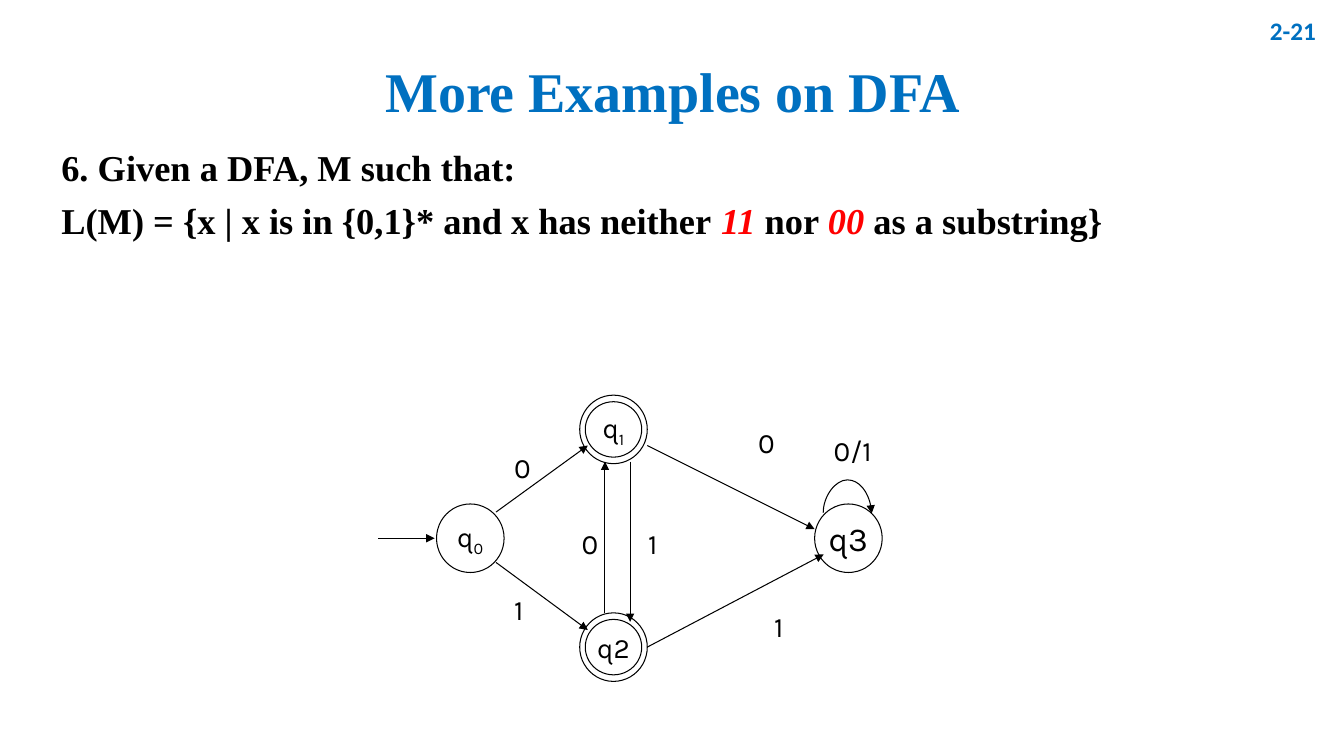
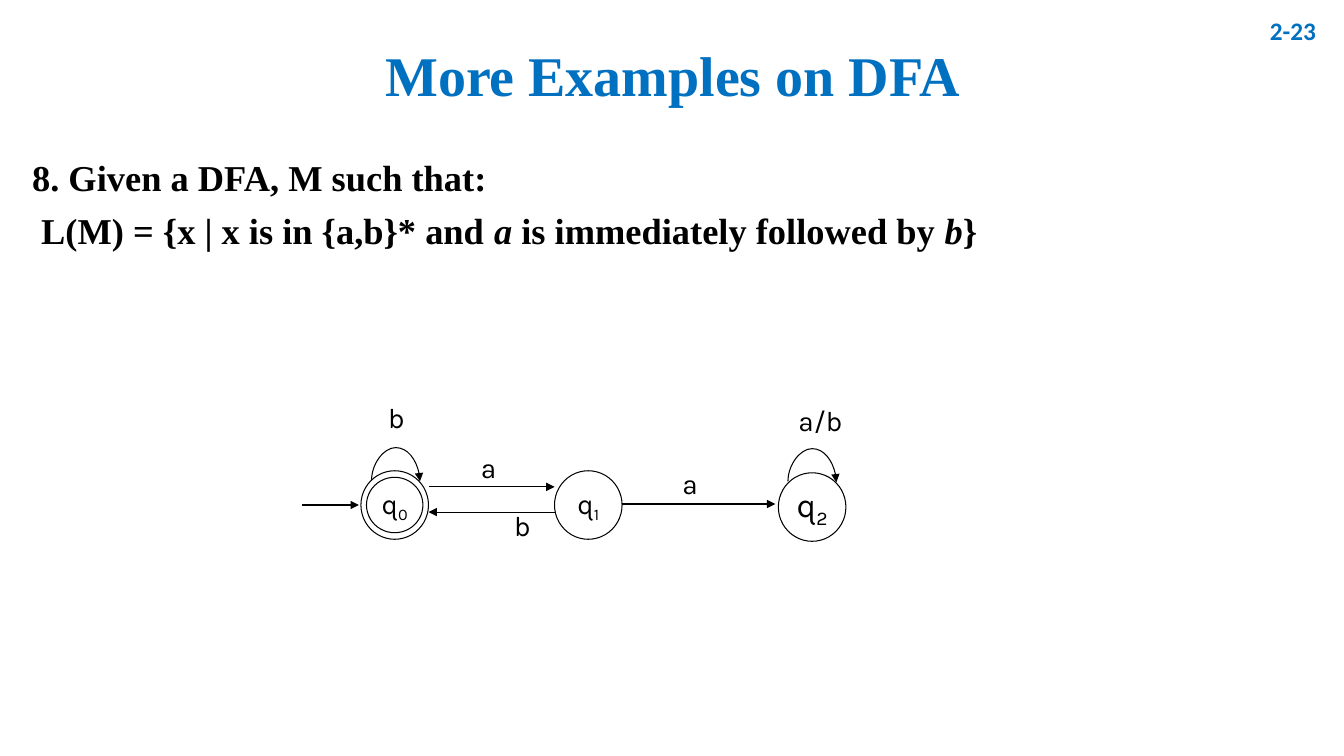
from lxml import etree
from pptx import Presentation
from pptx.dml.color import RGBColor
from pptx.enum import shapes, text
from pptx.oxml import ns
from pptx.util import Inches, Pt

BLUE, BLACK, RED = "0070C0", "000000", "FF0000"
SERIF, SANS, PLAIN = "Times New Roman", "Karla", "Calibri"
WIDE, HIGH = 0.67, 0.68  # state circle
RING = (0.56, 0.55)  # inner circle of an accepting state
SPAN, RISE = 0.48, 0.33  # self-loop

# body: (first-line indent, [(text, colour, italic)])
# states: left, top, name, subscript, size, accepting
# arrows: x1, y1, x2, y2; loops: centre x, foot y; labels: left, top, text
pages = [
    dict(
        num="2-21", title=1.25, box=(0.51, 1.44, 12.2, 1.57),
        body=[
            (-0.25, [("6. Given a DFA, M such that:", BLACK, False)]),
            (-0.25, [
                ("L(M) = {x | x is in {0,1}* and x has neither ", BLACK, False),
                ("11 ", RED, True), ("nor ", BLACK, False),
                ("00 ", RED, True), ("as a substring}", BLACK, False)]),
        ],
        states=[
            (4.33, 5, "q", "0", 20, False),
            (5.75, 3.92, "q", "1", 20, True),
            (5.75, 6.08, "q2", "", 20, True),
            (8.08, 5, "q3", "", 24, False),
        ],
        arrows=[
            (3.75, 5.34, 4.31, 5.34),
            (4.92, 5.08, 5.83, 4.42), (4.92, 5.58, 5.83, 6.25),
            (6, 6.08, 6, 4.58), (6.25, 4.58, 6.25, 6.17),
            (6.42, 4.42, 8.08, 5.25), (6.42, 6.42, 8.17, 5.5),
        ],
        loops=[(8.4, 5.09)],
        labels=[
            (5, 4.42, "0"), (5, 5.83, "1"), (5.67, 5.17, "0"), (6.33, 5.17, "1"),
            (7.42, 4.17, "0"), (7.58, 6, "1"), (8.17, 4.25, "0/1"),
        ],
    ),
    dict(
        num="2-23", title=0.93, box=(0.22, 1.54, 12.66, 1.58),
        body=[
            (-0.25, [("8. Given a DFA, M such that:", BLACK, False)]),
            (-0.16, [
                ("L(M) = {x | x is in {a,b}* and ", BLACK, False),
                ("a ", BLACK, True),
                ("is immediately followed by ", BLACK, False),
                ("b", BLACK, True), ("}", BLACK, False)]),
        ],
        states=[
            (3.58, 4.67, "q", "0", 20, True),
            (5.5, 4.67, "q", "1", 20, False),
            (7.72, 4.69, "q", "2", 24, False),
        ],
        arrows=[
            (3, 5.01, 3.56, 5.01), (4.25, 4.83, 5.5, 4.83),
            (5.5, 5.08, 4.25, 5.08), (6.17, 5, 7.69, 5),
        ],
        loops=[(3.92, 4.77), (8.05, 4.78)],
        labels=[
            (3.75, 3.92, "b"), (4.67, 4.42, "a"), (5, 5, "b"),
            (6.67, 4.58, "a"), (7.82, 3.95, "a/b"),
        ],
    ),
]


def write(para, words, face, size, color=BLACK, bold=False, align=None):
    """Add one run and style the whole paragraph."""
    para.add_run().text = words
    para.alignment = align
    font = para.font
    font.name, font.size, font.bold = face, Pt(size), bold
    font.color.rgb = RGBColor.from_string(color)


def arrow(slide, kind, *ends):
    link = slide.shapes.add_connector(kind, *map(Inches, ends))
    link.line.color.rgb = RGBColor.from_string(BLACK)
    link.line.width = Pt(0.75)
    etree.SubElement(link.line._get_or_add_ln(), ns.qn("a:tailEnd"), type="triangle")
    etree.SubElement(link._element.spPr, ns.qn("a:effectLst"))
    return link


deck = Presentation()
deck.slide_width, deck.slide_height = Inches(13.33), Inches(7.5)
mid, right = text.PP_ALIGN.CENTER, text.PP_ALIGN.RIGHT

for page in pages:
    slide = deck.slides.add_slide(deck.slide_layouts[6])
    heads = [
        ((12.26, 0, 0.89, 0.6), page["num"], PLAIN, 18, right, 1),
        ((1.57, 0.31, 10.2, page["title"]), "More Examples on DFA", SERIF, 40, mid, 0.9),
    ]
    for area, words, face, size, align, gap in heads:
        frame = slide.shapes.add_textbox(*map(Inches, area)).text_frame
        frame.word_wrap = True
        frame.vertical_anchor = text.MSO_ANCHOR.MIDDLE
        write(frame.paragraphs[0], words, face, size, BLUE, True, align)
        frame.paragraphs[0].line_spacing = gap

    frame = slide.shapes.add_textbox(*map(Inches, page["box"])).text_frame
    frame.word_wrap = True
    for i, (indent, runs) in enumerate(page["body"]):
        para = frame.add_paragraph() if i else frame.paragraphs[0]
        props = para._p.get_or_add_pPr()
        props.set("marL", str(Inches(0.25)))
        props.set("indent", str(Inches(indent)))
        para.alignment = text.PP_ALIGN.JUSTIFY
        para.line_spacing = 0.9
        if i:
            para.space_before = Pt(10)
        font = para.font
        font.name, font.size, font.bold = SERIF, Pt(26), True
        for words, color, slant in runs:
            run = para.add_run()
            run.text = words
            run.font.color.rgb = RGBColor.from_string(color)
            run.font.italic = slant

    for x, y, name, sub, size, final in page["states"]:
        rings = [(WIDE, HIGH)] + [RING] * final
        for w, h in rings:
            area = (x + (WIDE - w) / 2, y + (HIGH - h) / 2, w, h)
            disc = slide.shapes.add_shape(shapes.MSO_SHAPE.OVAL, *map(Inches, area))
            disc.shadow.inherit = False
            disc.fill.background()
            disc.line.color.rgb = RGBColor.from_string(BLACK)
            disc.line.width = Pt(0.75)
            if (w, h) == RING:
                continue
            frame = disc.text_frame
            frame.word_wrap = False
            frame.vertical_anchor = text.MSO_ANCHOR.MIDDLE
            para = frame.paragraphs[0]
            write(para, name, SANS, size, align=mid)
            if sub:
                run = para.add_run()
                run.text = sub
                run._r.get_or_add_rPr().set("baseline", "-24000")

    for ends in page["arrows"]:
        arrow(slide, shapes.MSO_CONNECTOR.STRAIGHT, *ends)

    # A thin upright curve, turned a quarter so that it bulges upwards
    for x, y in page["loops"]:
        thin = 0.01
        loop = arrow(slide, shapes.MSO_CONNECTOR.CURVE,
                     x, y + SPAN / 2, x + thin, y - SPAN / 2)
        loop._element.spPr.xfrm.set("rot", str(90 * 60000))
        guides = loop._element.spPr.prstGeom.get_or_add_avLst()
        etree.SubElement(guides, ns.qn("a:gd"), name="adj1",
                         fmla=f"val {round(-RISE / thin * 100000)}")

    for x, y, words in page["labels"]:
        area = (x, y, 0.8 if len(words) > 1 else 0.35, 0.44)
        frame = slide.shapes.add_textbox(*map(Inches, area)).text_frame
        frame.word_wrap = False
        write(frame.paragraphs[0], words, SANS, 20, align=text.PP_ALIGN.LEFT)

deck.save("out.pptx")
